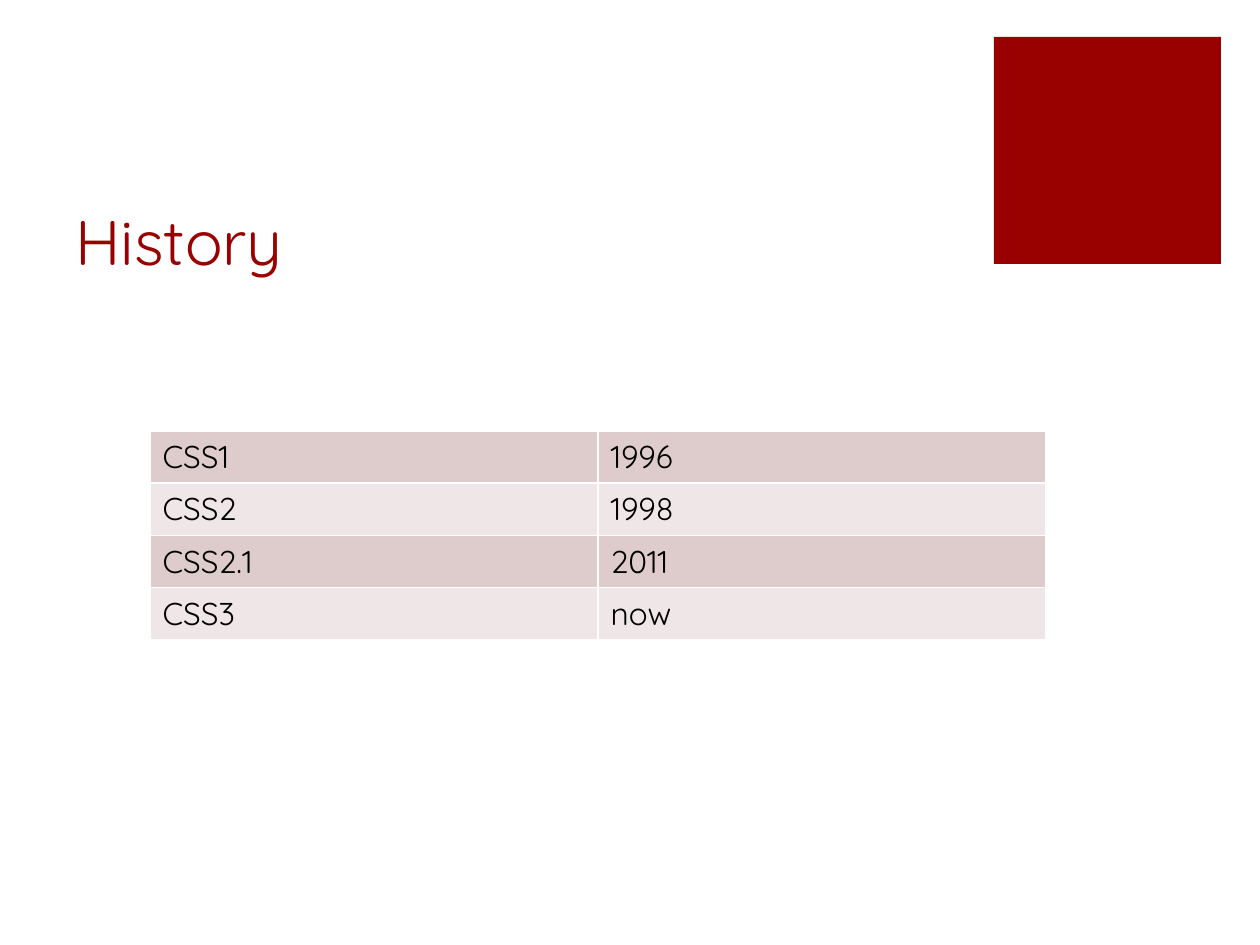
from pptx import Presentation
from pptx.dml.color import RGBColor
from pptx.enum.shapes import MSO_SHAPE
from pptx.enum.text import MSO_ANCHOR, PP_ALIGN
from pptx.util import Pt

SCALE = 914400 / 126
FONT = "Quicksand"
RED = RGBColor(0x99, 0x00, 0x00)
BLACK = RGBColor(0x00, 0x00, 0x00)
BANDS = [RGBColor(0xDE, 0xCC, 0xCC), RGBColor(0xEF, 0xE7, 0xE7)]


def px(*sizes):
    return [round(size * SCALE) for size in sizes]


def add_text(frame, text, size, color):
    run = frame.paragraphs[0].add_run()
    run.text = text
    run.font.name = FONT
    run.font.size = Pt(size)
    run.font.color.rgb = color


deck = Presentation()
deck.slide_width, deck.slide_height = px(1260, 945)
slide = deck.slides.add_slide(deck.slide_layouts[5])

square = slide.shapes.add_shape(MSO_SHAPE.RECTANGLE, *px(994, 37, 227, 227))
square.shadow.inherit = False
square.fill.solid()
square.fill.fore_color.rgb = RED
square.line.fill.background()

title = slide.shapes.title
title.left, title.top, title.width, title.height = px(63, 126, 897, 158)
frame = title.text_frame
frame.vertical_anchor = MSO_ANCHOR.BOTTOM
frame.paragraphs[0].alignment = PP_ALIGN.LEFT
add_text(frame, "History", 36, RED)

levels = [("CSS1", "1996"), ("CSS2", "1998"), ("CSS2.1", "2011"), ("CSS3", "now")]
table = slide.shapes.add_table(len(levels), 2, *px(150, 431, 896, 208)).table
table.first_row = False
for row, level in enumerate(levels):
    for col, text in enumerate(level):
        cell = table.cell(row, col)
        cell.fill.solid()
        cell.fill.fore_color.rgb = BANDS[row % 2]
        add_text(cell.text_frame, text, 18, BLACK)

deck.save("out.pptx")
